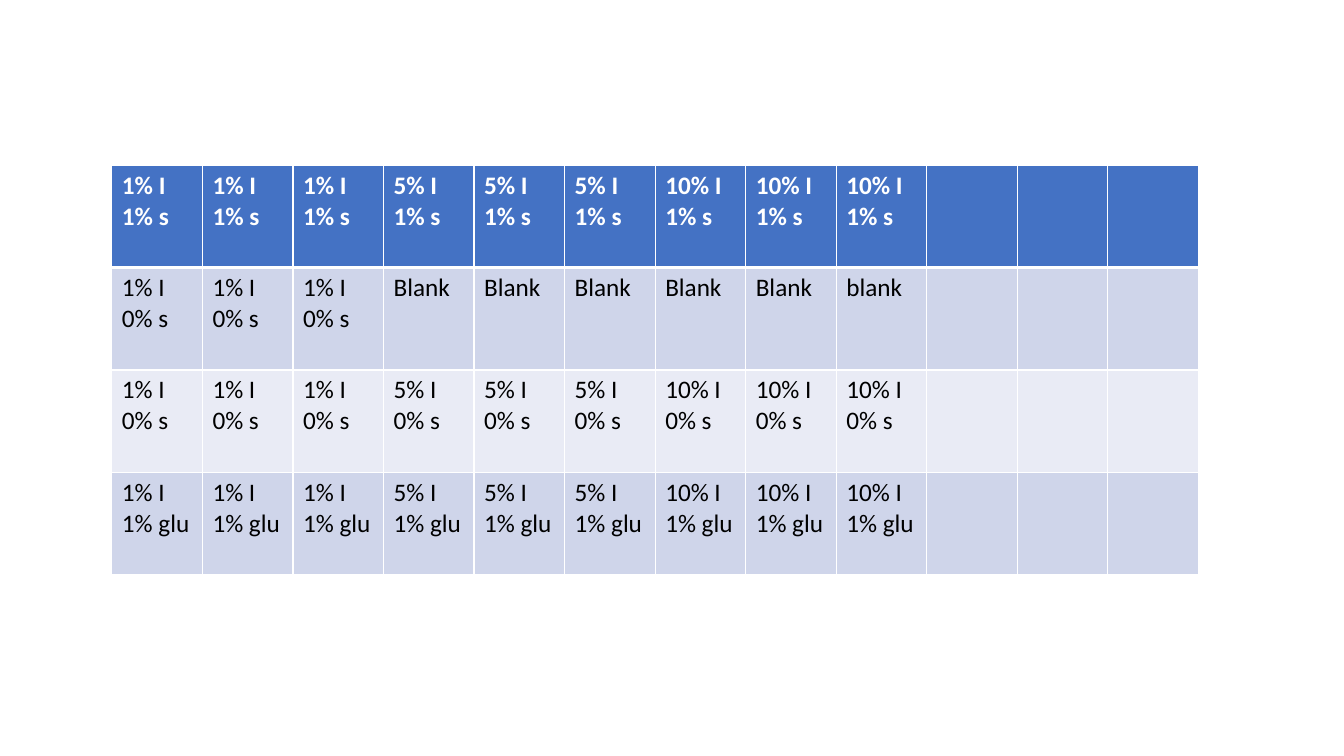
from lxml import etree
from pptx import Presentation
from pptx.dml.color import RGBColor
from pptx.oxml.ns import qn
from pptx.util import Inches, Pt

COLORS = {
    "header": "4472C4",
    "dark_band": "CFD5EA",
    "light_band": "E9EBF5",
    "border": "FFFFFF",
    "header_text": "FFFFFF",
    "body_text": "000000",
}
FONT_NAME = "Calibri"
FONT_SIZE = Pt(18)
BLANK_LAYOUT = 6
REPLICATES = 3
COLUMNS = 12
LEFT, TOP = 1.11, 1.64
COLUMN_WIDTH, ROW_HEIGHT = 0.9, 1.015
THIN, THICK = Pt(1), Pt(3)


def triplicates(second_line):
    """Return each concentration three times, paired with the second line."""
    return [f"{level} I\n{second_line}"
            for level in ("1%", "5%", "10%") for _ in range(REPLICATES)]


def plate_rows():
    blanks = ["Blank"] * 5 + ["blank"]
    return [
        triplicates("1% s"),
        triplicates("0% s")[:REPLICATES] + blanks,
        triplicates("0% s"),
        triplicates("1% glu"),
    ]


def set_borders(cell, top, bottom):
    properties = cell._tc.get_or_add_tcPr()
    for side, width in (("L", THIN), ("R", THIN), ("T", top), ("B", bottom)):
        line = etree.SubElement(properties, qn(f"a:ln{side}"), w=str(width))
        fill = etree.SubElement(line, qn("a:solidFill"))
        etree.SubElement(fill, qn("a:srgbClr"), val=COLORS["border"])


def format_cell(cell, text, row):
    is_header = row == 0
    set_borders(cell, THICK if row == 1 else THIN, THICK if is_header else THIN)
    band = "header" if is_header else "dark_band" if row % 2 else "light_band"
    cell.fill.solid()
    cell.fill.fore_color.rgb = RGBColor.from_string(COLORS[band])
    cell.text = text
    text_color = COLORS["header_text" if is_header else "body_text"]
    for paragraph in cell.text_frame.paragraphs:
        font = paragraph.font
        font.name, font.size, font.bold = FONT_NAME, FONT_SIZE, is_header
        font.color.rgb = RGBColor.from_string(text_color)


def add_plate_table(slide, rows):
    table = slide.shapes.add_table(
        len(rows), COLUMNS, Inches(LEFT), Inches(TOP),
        Inches(COLUMN_WIDTH * COLUMNS), Inches(ROW_HEIGHT * len(rows))).table
    for column in table.columns:
        column.width = Inches(10.78 / COLUMNS)
    for row, texts in enumerate(rows):
        padded = texts + [""] * (COLUMNS - len(texts))
        for column, text in enumerate(padded):
            format_cell(table.cell(row, column), text, row)


def main():
    presentation = Presentation()
    presentation.slide_width = Inches(13.33)
    presentation.slide_height = Inches(7.5)
    slide = presentation.slides.add_slide(
        presentation.slide_layouts[BLANK_LAYOUT])
    add_plate_table(slide, plate_rows())
    presentation.save("out.pptx")


if __name__ == "__main__":
    main()
